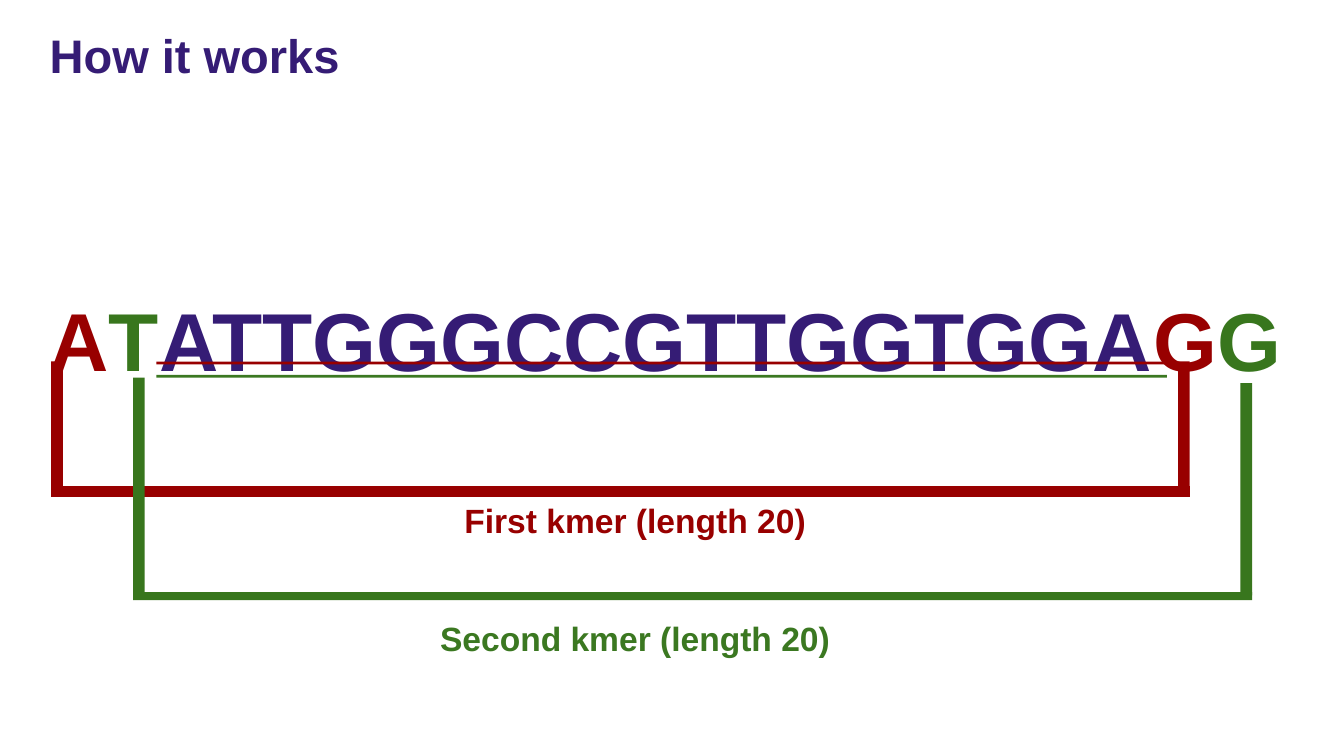
from pptx import Presentation
from pptx.dml.color import RGBColor
from pptx.enum.shapes import MSO_SHAPE
from pptx.enum.text import MSO_ANCHOR, PP_ALIGN
from pptx.util import Pt

PURPLE, RED, GREEN, LABEL_GREEN = "351C75", "980000", "38761D", "3B7821"
STEM_WIDTH = 6.3


def color(value):
    return RGBColor.from_string(value)


def add_text(slide, box, runs, size, align=PP_ALIGN.LEFT, line_spacing=None, space_after=None):
    """Write one bold paragraph made of (text, colour) runs."""
    shape = slide.shapes.add_textbox(*map(Pt, box))
    frame = shape.text_frame
    frame.word_wrap = True
    frame.vertical_anchor = MSO_ANCHOR.TOP
    frame.margin_left = frame.margin_right = Pt(7.2)
    frame.margin_top = frame.margin_bottom = Pt(7.2)
    paragraph = frame.paragraphs[0]
    paragraph.alignment = align
    if line_spacing:
        paragraph.line_spacing = line_spacing
    if space_after:
        paragraph.space_after = Pt(space_after)
    for text, run_color in runs:
        run = paragraph.add_run()
        run.text = text
        run.font.name = "Arial"
        run.font.size = Pt(size)
        run.font.bold = True
        run.font.color.rgb = color(run_color)


def add_bar(slide, box, fill):
    shape = slide.shapes.add_shape(MSO_SHAPE.RECTANGLE, *map(Pt, box))
    shape.shadow.inherit = False
    shape.fill.solid()
    shape.fill.fore_color.rgb = color(fill)
    shape.line.fill.background()


def add_bracket(slide, box, fill, base_height, right_drop=0, base_overhang=0):
    """Draw a base with a stem up to the first and last letter of a kmer."""
    left, top, width, height = box
    bottom = top + height
    add_bar(slide, (left, bottom - base_height + base_overhang, width, base_height), fill)
    add_bar(slide, (left, top, STEM_WIDTH, height), fill)
    add_bar(slide, (left + width - STEM_WIDTH, top + right_drop,
                    STEM_WIDTH, height - right_drop), fill)


def add_sequence(slide, box):
    runs = [("A", RED), ("T", GREEN), ("ATTGGGCCGTTGGTGGA", PURPLE), ("G", RED), ("G", GREEN)]
    add_text(slide, box, runs, size=44, line_spacing=1.15, space_after=12)


def add_underlines(slide, box):
    """Underline the letters shared by both kmers, once for each."""
    left, top, width, gap = box
    for index, fill in enumerate((RED, LABEL_GREEN)):
        add_bar(slide, (left, top + index * gap, width, 1.5), fill)


def main():
    presentation = Presentation()
    presentation.slide_width = Pt(720)
    presentation.slide_height = Pt(405)
    slide = presentation.slides.add_slide(presentation.slide_layouts[6])

    # Title and sequence
    add_text(slide, (19.5, 7.2, 671, 45.4), [("How it works", PURPLE)], size=25.2)
    add_sequence(slide, (19.5, 139.7, 720, 45.4))

    # Kmer brackets
    add_bracket(slide, (27.4, 193.7, 610, 72.5), RED, base_height=5.8)
    add_bracket(slide, (71.3, 202.3, 599.5, 116.7), GREEN, base_height=4.3,
                right_drop=2.9, base_overhang=2.6)
    add_underlines(slide, (83.8, 193.7, 541.4, 7.2))

    # Kmer labels
    for name, top, fill in (("First", 260.6, RED), ("Second", 324, LABEL_GREEN)):
        add_text(slide, (203.8, top, 272.9, 25.9), [(f"{name} kmer (length 20)", fill)],
                 size=18, align=PP_ALIGN.CENTER)

    presentation.save("out.pptx")


if __name__ == "__main__":
    main()
